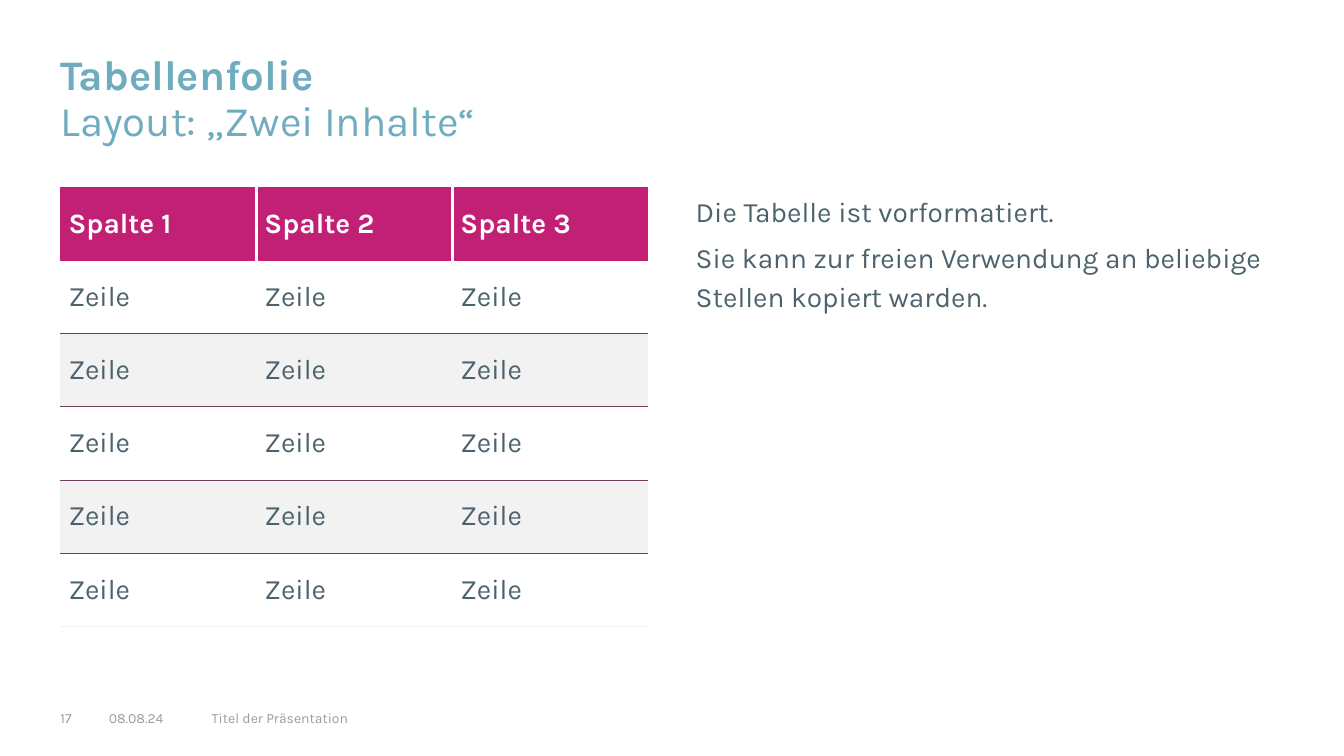
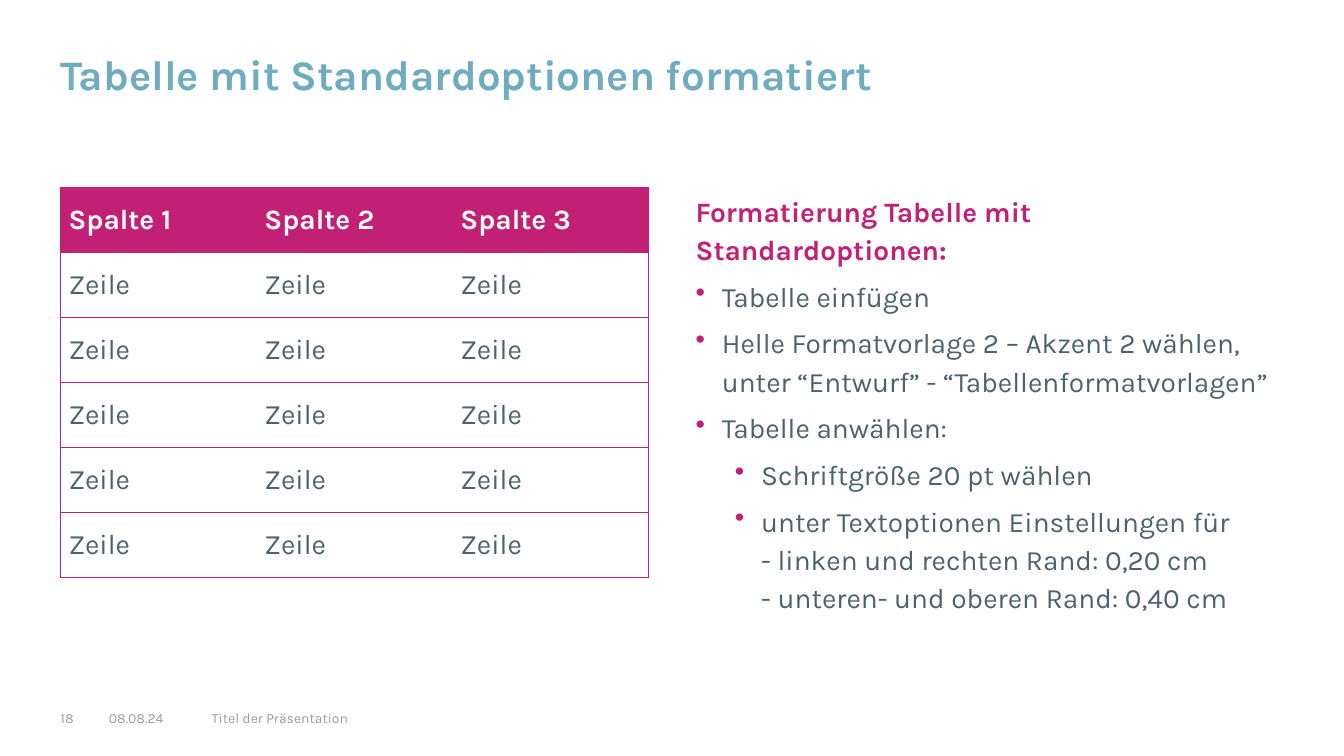
import pptx
import pptx.util
import pptx.dml.color
import pptx.enum.text
import pptx.oxml
import pptx.oxml.ns

WIDE, HIGH = 13.33, 7.5
EDGE, GAP, COL = 0.6, 0.47, 5.83
TOP, FOOT = 1.86, 6.98
HUES = {
    "pink": "C12075",
    "plum": "723C5D",
    "blue": "70ACC0",
    "slate": "4C626C",
    "gray": "969EA2",
    "pale": "F2F2F2",
    "white": "FFFFFF",
}
STYLES = {
    "title": {"size": 30, "hue": "blue", "bold": True},
    "light": {"size": 30, "hue": "blue", "bold": False},
    "head": {"size": 20, "hue": "white", "bold": True},
    "lead": {"size": 20, "hue": "pink", "bold": True},
    "body": {"size": 20, "hue": "slate", "bold": False},
    "foot": {"size": 10, "hue": "gray", "bold": False},
}
PLAIN_GRID = "{2D5ABB26-0587-4C30-8999-92F81FD0307C}"
INDENT = 0.26
inch = pptx.util.Inches


def paint(hue):
    return pptx.dml.color.RGBColor.from_string(HUES[hue])


def assign(item, values):
    for name, value in values.items():
        setattr(item, name, value)


def write(para, text, style):
    look = STYLES[style]
    for count, line in enumerate(text.split("\n")):
        if count:
            para.add_line_break()
        run = para.add_run()
        run.text = line
        assign(run.font, {
            "name": "Karla",
            "size": pptx.util.Pt(look["size"]),
            "bold": look["bold"],
        })
        run.font.color.rgb = paint(look["hue"])


def frame(shape, inset):
    text = shape.text_frame
    assign(text, {
        "word_wrap": True,
        "auto_size": pptx.enum.text.MSO_AUTO_SIZE.NONE,
        "vertical_anchor": pptx.enum.text.MSO_ANCHOR.TOP,
        "margin_left": 0,
        "margin_top": inch(inset),
        "margin_right": 0,
        "margin_bottom": 0,
    })
    return text


def add_box(slide, left, top, width, height, inset):
    box = slide.shapes.add_textbox(*map(inch, (left, top, width, height)))
    return frame(box, inset)


def set_title(slide, parts):
    title = slide.shapes.title
    assign(title, {
        "left": inch(EDGE), "top": inch(0.52),
        "width": inch(10.87), "height": inch(0.94),
    })
    para = frame(title, 0.02).paragraphs[0]
    assign(para, {
        "line_spacing": 0.9,
        "space_before": pptx.util.Pt(0),
        "alignment": pptx.enum.text.PP_ALIGN.LEFT,
    })
    for count, (text, style) in enumerate(parts):
        if count:
            para.add_line_break()
        write(para, text, style)


def add_mark(para, level):
    props = para._p.get_or_add_pPr()
    left = INDENT if level == 1 else 0.65
    props.set("marL", str(inch(left)))
    props.set("indent", str(-inch(INDENT)))
    space = pptx.oxml.ns.nsdecls("a")
    for code in (
        f'<a:buClr {space}><a:srgbClr val="{HUES["pink"]}"/></a:buClr>',
        f'<a:buChar {space} char="•"/>',
    ):
        props.append(pptx.oxml.parse_xml(code))


def add_body(slide, items):
    text = add_box(slide, EDGE + COL + GAP, TOP, COL, 4.65, 0.02)
    for count, (level, words, style) in enumerate(items):
        para = text.add_paragraph() if count else text.paragraphs[0]
        if level:
            add_mark(para, level)
        assign(para, {
            "line_spacing": 1.14,
            "space_before": pptx.util.Pt(6 if count else 0),
        })
        write(para, words, style)


def add_lines(cell, lines):
    props = cell._tc.get_or_add_tcPr()
    space = pptx.oxml.ns.nsdecls("a")
    for side in "LRTB":
        hue, width = lines.get(side, (None, 0))
        fill = (f'<a:solidFill><a:srgbClr val="{HUES[hue]}"/></a:solidFill>'
                if hue else "<a:noFill/>")
        props.append(pptx.oxml.parse_xml(
            f'<a:ln{side} {space} w="{pptx.util.Pt(width)}">{fill}</a:ln{side}>'))


def band_lines(row, col, rows, cols):
    lines = {}
    if row == 0:
        if col:
            lines["L"] = ("white", 3)
        if col < cols - 1:
            lines["R"] = ("white", 3)
        return lines
    if row > 1:
        lines["T"] = ("plum", 0.75)
    lines["B"] = ("plum" if row < rows - 1 else "pale", 0.75)
    return lines


def box_lines(row, col, rows, cols):
    line = ("pink", 0.5)
    lines = {"T": line, "B": line}
    if col == 0:
        lines["L"] = line
    if col == cols - 1:
        lines["R"] = line
    return lines


def add_grid(slide, step, pad, rule, band):
    data = [[f"Spalte {num}" for num in (1, 2, 3)]] + [["Zeile"] * 3] * 5
    rows, cols = len(data), len(data[0])
    area = map(inch, (EDGE, TOP, COL, step * rows))
    table = slide.shapes.add_table(rows, cols, *area).table
    assign(table, {"first_row": False, "horz_banding": False})
    table._tbl.tblPr[0].text = PLAIN_GRID
    for row, words in enumerate(data):
        for col, word in enumerate(words):
            cell = table.cell(row, col)
            assign(cell, {
                "margin_left": inch(0.08), "margin_right": inch(0.08),
                "margin_top": inch(pad), "margin_bottom": inch(pad),
            })
            add_lines(cell, rule(row, col, rows, cols))
            hue = "pink" if row == 0 else band if row % 2 == 0 else None
            if hue:
                cell.fill.solid()
                cell.fill.fore_color.rgb = paint(hue)
            else:
                cell.fill.background()
            write(cell.text_frame.paragraphs[0], word,
                  "body" if row else "head")


def add_foot(slide, page):
    for left, width, text in (
        (EDGE, 0.31, str(page)),
        (1.08, 0.87, "08.08.24"),
        (2.1, 4.72, "Titel der Präsentation"),
    ):
        box = add_box(slide, left, FOOT, width, 0.24, 0.06)
        write(box.paragraphs[0], text, "foot")


def add_page(deck, page, title, grid, body):
    slide = deck.slides.add_slide(deck.slide_layouts[5])
    set_title(slide, title)
    add_grid(slide, *grid)
    add_body(slide, body)
    add_foot(slide, page)


def main():
    deck = pptx.Presentation()
    assign(deck, {"slide_width": inch(WIDE), "slide_height": inch(HIGH)})
    add_page(
        deck, 17,
        [("Tabellenfolie", "title"), ("Layout: „Zwei Inhalte“", "light")],
        (0.72, 0.2, band_lines, "pale"),
        [
            (0, "Die Tabelle ist vorformatiert.", "body"),
            (0, "Sie kann zur freien Verwendung an beliebige "
                "Stellen kopiert warden.", "body"),
        ],
    )
    add_page(
        deck, 18,
        [("Tabelle mit Standardoptionen formatiert", "title")],
        (0.64, 0.16, box_lines, None),
        [
            (0, "Formatierung Tabelle mit Standardoptionen:", "lead"),
            (1, "Tabelle einfügen", "body"),
            (1, "Helle Formatvorlage 2 – Akzent 2 wählen,\n"
                "unter “Entwurf” - “Tabellenformatvorlagen”", "body"),
            (1, "Tabelle anwählen:", "body"),
            (2, "Schriftgröße 20 pt wählen", "body"),
            (2, "unter Textoptionen Einstellungen für\n"
                "- linken und rechten Rand: 0,20 cm\n"
                "- unteren- und oberen Rand: 0,40 cm", "body"),
        ],
    )
    deck.save("out.pptx")


if __name__ == "__main__":
    main()
